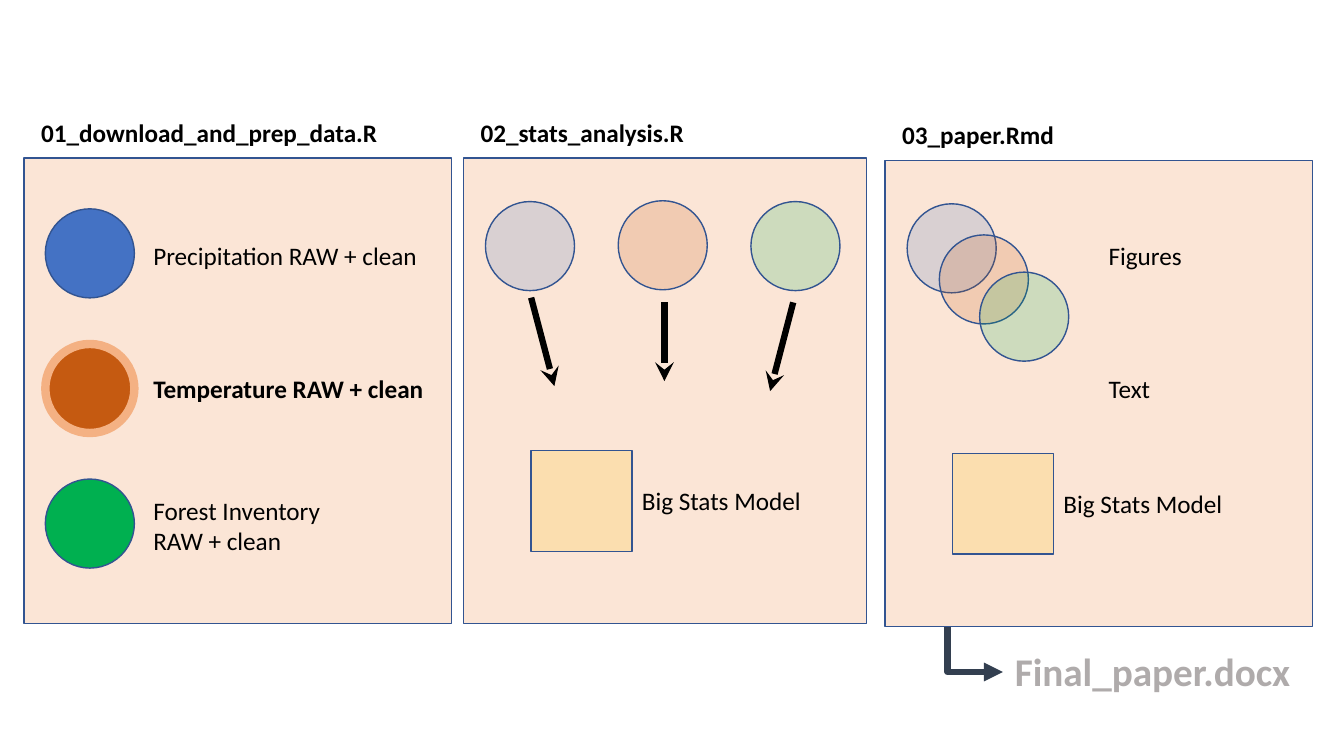
from lxml import etree
from pptx import Presentation
from pptx.dml.color import RGBColor
from pptx.enum.shapes import MSO_CONNECTOR, MSO_SHAPE
from pptx.oxml.ns import qn
from pptx.util import Pt

RECT, OVAL = MSO_SHAPE.RECTANGLE, MSO_SHAPE.OVAL
STRAIGHT, ELBOW = MSO_CONNECTOR.STRAIGHT, MSO_CONNECTOR.ELBOW

COLORS = {
    "panel": "FBE5D6", "outline": "325491", "precipitation": "4472C4",
    "temperature": "C55A11", "highlight": "F4B183", "forest": "00B050",
    "model": "FFC000", "text": "000000", "output": "AFABAB", "elbow": "333F50",
}
FONT = "Calibri"
DIAMETER, MODEL_SIZE, PANEL_H = 63.6, 72, 332.6
LINE_H = 29.1
FADED = 18  # percent opacity

# Panels: file name, left, top, width
PREP = ("01_download_and_prep_data.R", 17.3, 113, 305.3)
STATS = ("02_stats_analysis.R", 331.2, 113, 288)
PAPER = ("03_paper.Rmd", 632.3, 114.8, 305.3)

# Data sets: colour, label, label top, highlighted
DATASETS = [
    ("precipitation", "Precipitation RAW + clean", 168, False),
    ("temperature", "Temperature RAW + clean", 263, True),
    ("forest", "Forest Inventory\vRAW + clean", 350, False),
]
STATS_CIRCLES = [(346.8, 144), (441.6, 143.4), (536.4, 144)]
PAPER_CIRCLES = [(648, 145.6), (671, 167.8), (699.8, 194.4)]
ARROWS = [
    (379.4, 212.6, 396, 275.8),
    (474.6, 216, 474.6, 272.2),
    (566.6, 216, 550.1, 279.4),
]
PAPER_LABELS = [("Figures", 168), ("Text", 263.3)]

prs = Presentation()
prs.slide_width, prs.slide_height = Pt(960), Pt(540)
s = prs.slides.add_slide(prs.slide_layouts[6])


def rgb(name):
    return RGBColor.from_string(COLORS[name])


def add_box(kind, x, y, w, h, fill, opacity=100, line="outline", weight=1):
    sp = s.shapes.add_shape(kind, Pt(x), Pt(y), Pt(w), Pt(h))
    sp.shadow.inherit = False
    sp.fill.solid()
    sp.fill.fore_color.rgb = rgb(fill)
    if opacity < 100:
        color = sp._element.spPr.find(qn("a:solidFill"))[0]
        etree.SubElement(color, qn("a:alpha"), val=str(opacity * 1000))
    sp.line.color.rgb = rgb(line)
    sp.line.width = Pt(weight)


def add_circle(x, y, fill, **style):
    add_box(OVAL, x, y, DIAMETER, DIAMETER, fill, **style)


def add_text(text, x, y, w, h=LINE_H, size=18, bold=False, color="text"):
    tf = s.shapes.add_textbox(Pt(x), Pt(y), Pt(w), Pt(h)).text_frame
    tf.word_wrap = True
    tf.text = text
    for r in tf.paragraphs[0].runs:
        r.font.name, r.font.size, r.font.bold = FONT, Pt(size), bold
        r.font.color.rgb = rgb(color)


def add_arrow(kind, x1, y1, x2, y2, color, head):
    c = s.shapes.add_connector(kind, Pt(x1), Pt(y1), Pt(x2), Pt(y2))
    c.line.color.rgb = rgb(color)
    c.line.width = Pt(4.5)
    etree.SubElement(c.line._get_or_add_ln(), qn("a:tailEnd"), type=head)
    etree.SubElement(c._element.spPr, qn("a:effectLst"))


def add_panel(name, x, y, w):
    add_box(RECT, x, y, w, PANEL_H, "panel")
    add_text(name, x + 5, y - 33.1, 281, bold=True)


def add_model(panel):
    x, y = panel[1] + 48.2, panel[2] + 209
    add_box(RECT, x, y, MODEL_SIZE, MODEL_SIZE, "model", FADED)
    add_text("Big Stats Model", x + MODEL_SIZE, y + 21.4, 160)


def add_faded_circles(places):
    for (x, y), (color, *_) in zip(places, DATASETS):
        add_circle(x, y, color, opacity=FADED)


# Data preparation
add_panel(*PREP)
for i, (color, label, top, highlighted) in enumerate(DATASETS):
    style = {"line": "highlight", "weight": 6} if highlighted else {}
    add_circle(32.4, 149.2 + i * 96.5, color, **style)
    height = 51 if "\v" in label else LINE_H
    add_text(label, 102.4, top, 212, height, bold=highlighted)

# Statistical analysis
add_panel(*STATS)
add_model(STATS)
add_faded_circles(STATS_CIRCLES)
for ends in ARROWS:
    add_arrow(STRAIGHT, *ends, "text", "stealth")

# Paper, with the elbow coming out from behind its panel
add_arrow(ELBOW, 637.2, 435, 716.4, 480, "elbow", "triangle")
add_panel(*PAPER)
add_model(PAPER)
add_faded_circles(PAPER_CIRCLES)
for label, top in PAPER_LABELS:
    add_text(label, 784.8, top, 150)
add_text("Final_paper.docx", 717.8, 458.8, 218, 41.2, 28, True, "output")

prs.save("out.pptx")
